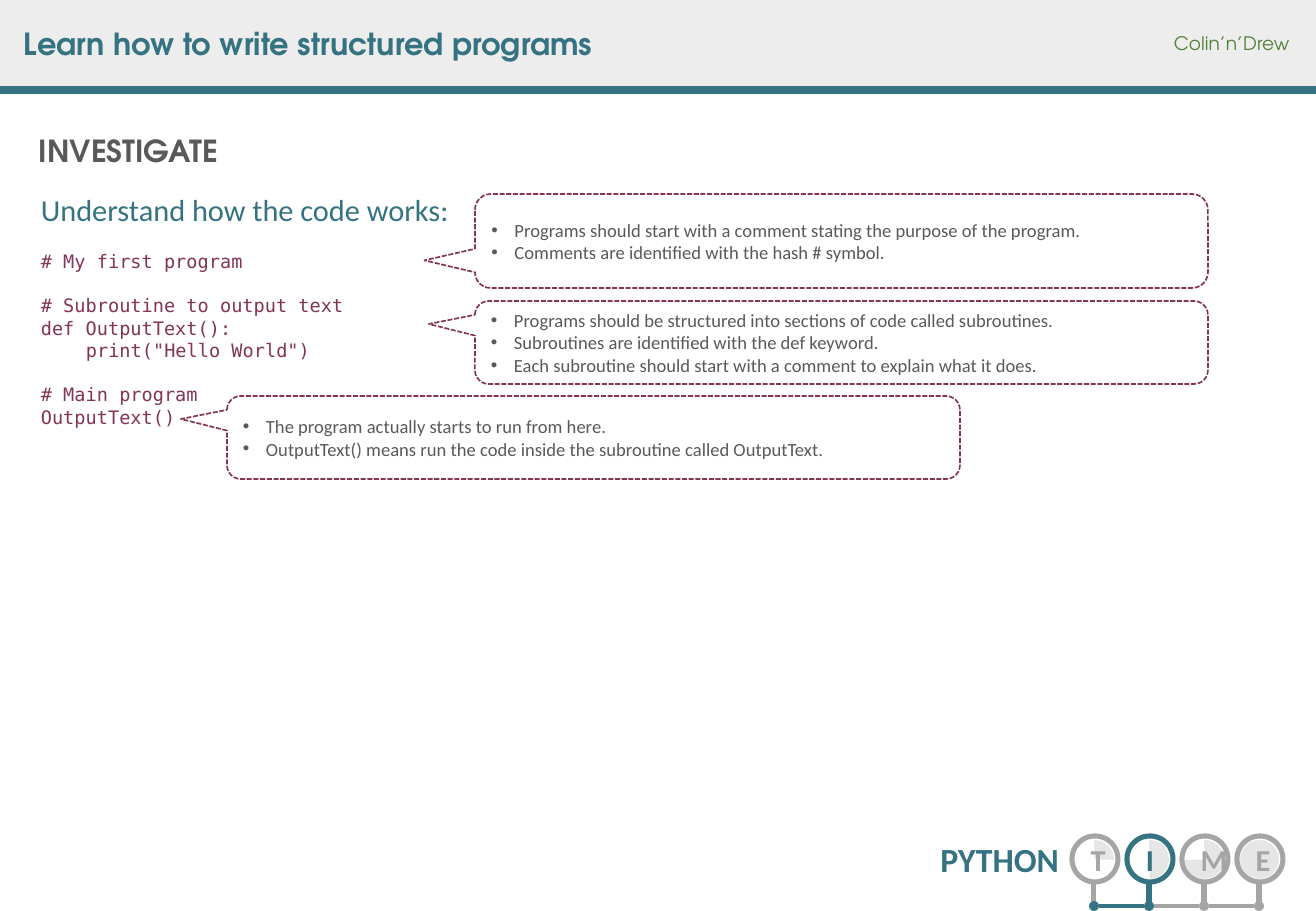
from lxml import etree
from pptx import Presentation
from pptx.dml.color import RGBColor
from pptx.enum.dml import MSO_LINE
from pptx.enum.shapes import MSO_CONNECTOR, MSO_SHAPE
from pptx.enum.text import MSO_ANCHOR, MSO_AUTO_SIZE, PP_ALIGN
from pptx.oxml.ns import qn
from pptx.util import Pt

PX = 7526
TEAL = RGBColor(0x35, 0x73, 0x82)
GREEN = RGBColor(0x53, 0x81, 0x35)
PLUM = RGBColor(0x82, 0x35, 0x54)
DARK = RGBColor(0x59, 0x59, 0x59)
GREY = RGBColor(0xA5, 0xA5, 0xA5)
PALE = RGBColor(0xE7, 0xE6, 0xE6)
BAND = RGBColor(0xED, 0xED, 0xED)
WHITE = RGBColor(0xFF, 0xFF, 0xFF)

RECT, OVAL, PIE = MSO_SHAPE.RECTANGLE, MSO_SHAPE.OVAL, MSO_SHAPE.PIE
CALLOUT = MSO_SHAPE.ROUNDED_RECTANGULAR_CALLOUT
LEFT, CENTER, RIGHT = PP_ALIGN.LEFT, PP_ALIGN.CENTER, PP_ALIGN.RIGHT
TOP, MIDDLE, BOTTOM = MSO_ANCHOR.TOP, MSO_ANCHOR.MIDDLE, MSO_ANCHOR.BOTTOM
FIT = MSO_AUTO_SIZE.SHAPE_TO_FIT_TEXT
STRAIGHT = MSO_CONNECTOR.STRAIGHT
DASH = MSO_LINE.SQUARE_DOT


def font(name, size, color, bold=False):
    return {"name": name, "size": Pt(size), "bold": bold, "color": color}


TITLE = font("TeX Gyre Adventor", 18, TEAL, True)
BRAND = font("TeX Gyre Adventor", 11, GREEN)
STAGE = font("TeX Gyre Adventor", 18, DARK, True)
LANGUAGE = font("Calibri", 20, TEAL, True)
HEADING = font("Calibri", 18, TEAL)
CODE = font("DejaVu Sans Mono", 11, PLUM)
NOTE = font("Calibri", 11, DARK)

LABELS = [
    ("Learn how to write structured programs", (12, 19, 600, 49), TITLE, False, LEFT, TOP),
    ("Colin’n’Drew", (1162, 26, 148, 35), BRAND, False, LEFT, TOP),
    ("INVESTIGATE", (27, 126, 208, 49), STAGE, False, LEFT, TOP),
    ("PYTHON", (852, 832, 219, 53), LANGUAGE, True, RIGHT, BOTTOM),
]
BODY = (29, 185, 1254, 632)
BODY_HEADING = "Understand how the code works:"
CODE_BLOCKS = [
    [("# My first program", 0)],
    [("# Subroutine to output text", 0), ("def OutputText():", 0), ('print("Hello World")', 45)],
    [("# Main program", 0), ("OutputText()", 0)],
]
CALLOUTS = [
    ((475, 194, 733, 94), (-0.569, 0.206, 0.167), [
        "Programs should start with a comment stating the purpose of the program.",
        "Comments are identified with the hash # symbol."]),
    ((475, 301, 733, 83), (-0.563, -0.223, 0.167), [
        "Programs should be structured into sections of code called subroutines.",
        "Subroutines are identified with the def keyword.",
        "Each subroutine should start with a comment to explain what it does."]),
    ((227, 396, 733, 83), (-0.563, -0.223, 0.167), [
        "The program actually starts to run from here.",
        "OutputText() means run the code inside the subroutine called OutputText."]),
]
STATIONS = [
    ("T", GREY, TEAL, PIE, (161.472, 0.053)),
    ("I", TEAL, TEAL, PIE, (161.472, 53.527)),
    ("M", GREY, GREY, PIE, (161.472, 107.513)),
    ("E", GREY, GREY, OVAL, ()),
]
STATION_X, STATION_Y, STATION_STEP = 1072, 836, 55
TRACK_COLORS = [TEAL, GREY, GREY]
BULLET_INDENT = 23

prs = Presentation()
prs.slide_width, prs.slide_height = 1316 * PX, 911 * PX
s = prs.slides.add_slide(prs.slide_layouts[6])


def add_run(p, text, fmt):
    r = p.add_run()
    r.text = text
    for key, value in fmt.items():
        if key == "color":
            r.font.color.rgb = value
        else:
            setattr(r.font, key, value)


def add_paragraph(tf, text, fmt, align=LEFT, **spacing):
    p = tf.add_paragraph() if tf.paragraphs[0].runs else tf.paragraphs[0]
    p.alignment = align
    for key, value in spacing.items():
        setattr(p, key, value)
    add_run(p, text, fmt)
    return p


def set_indent(p, left, first=0):
    pPr = p._p.get_or_add_pPr()
    pPr.set("marL", str(left * PX))
    pPr.set("indent", str(first * PX))
    return pPr


def add_bullet(p):
    pPr = set_indent(p, BULLET_INDENT, -BULLET_INDENT)
    etree.SubElement(pPr, qn("a:buFont")).set("typeface", "Arial")
    etree.SubElement(pPr, qn("a:buChar")).set("char", "•")


def add_text_frame(box, wrap, anchor):
    tf = s.shapes.add_textbox(*(v * PX for v in box)).text_frame
    tf.word_wrap, tf.vertical_anchor = wrap, anchor
    return tf


def add_shape(kind, box, fill=None, line=None, width=1, adjust=()):
    sp = s.shapes.add_shape(kind, *(v * PX for v in box))
    sp.shadow.inherit = False
    if fill is None:
        sp.fill.background()
    else:
        sp.fill.solid()
        sp.fill.fore_color.rgb = fill
    if line is None:
        sp.line.fill.background()
    else:
        sp.line.color.rgb = line
        sp.line.width = Pt(width)
    for i, value in enumerate(adjust):
        sp.adjustments[i] = value
    return sp


def add_line(x1, y1, x2, y2, color, width):
    line = s.shapes.add_connector(STRAIGHT, *(v * PX for v in (x1, y1, x2, y2)))
    line.line.color.rgb = color
    line.line.width = Pt(width)
    etree.SubElement(line._element.spPr, qn("a:effectLst"))


add_shape(RECT, (0, 0, 1316, 90), BAND)
add_line(0, 90, 1316, 90, TEAL, 4.5)

for text, box, fmt, wrap, align, anchor in LABELS:
    tf = add_text_frame(box, wrap, anchor)
    tf.auto_size = FIT
    add_paragraph(tf, text, fmt, align)

for i, (letter, color, dot, backing, adjust) in enumerate(STATIONS):
    x, y = STATION_X + i * STATION_STEP, STATION_Y
    add_shape(backing, (x + 3, y + 4, 39, 39), PALE, adjust=adjust)
    ring = add_shape(OVAL, (x, y, 46, 46), line=color, width=3)
    ring.text_frame.vertical_anchor = MIDDLE
    add_paragraph(ring.text_frame, letter, font("Calibri", 18, color, True), CENTER)
    add_line(x + 22, y + 46, x + 22, y + 66, color, 3)
    add_shape(OVAL, (x + 17, y + 65, 10, 10), dot)

for i, color in enumerate(TRACK_COLORS):
    x, y = STATION_X + i * STATION_STEP + 27, STATION_Y + 70
    add_line(x, y, x + 45, y, color, 2.25)

tf = add_text_frame(BODY, True, TOP)
add_paragraph(tf, BODY_HEADING, HEADING)
for block in CODE_BLOCKS:
    for i, (text, left) in enumerate(block):
        gap = Pt(0 if i else 13.2)
        p = add_paragraph(tf, text, CODE, space_before=gap, line_spacing=Pt(13.2))
        set_indent(p, left)

for box, adjust, notes in CALLOUTS:
    sp = add_shape(CALLOUT, box, WHITE, PLUM, 1, adjust)
    sp.line.dash_style = DASH
    sp.text_frame.vertical_anchor = MIDDLE
    for note in notes:
        add_bullet(add_paragraph(sp.text_frame, note, NOTE))

prs.save("out.pptx")
